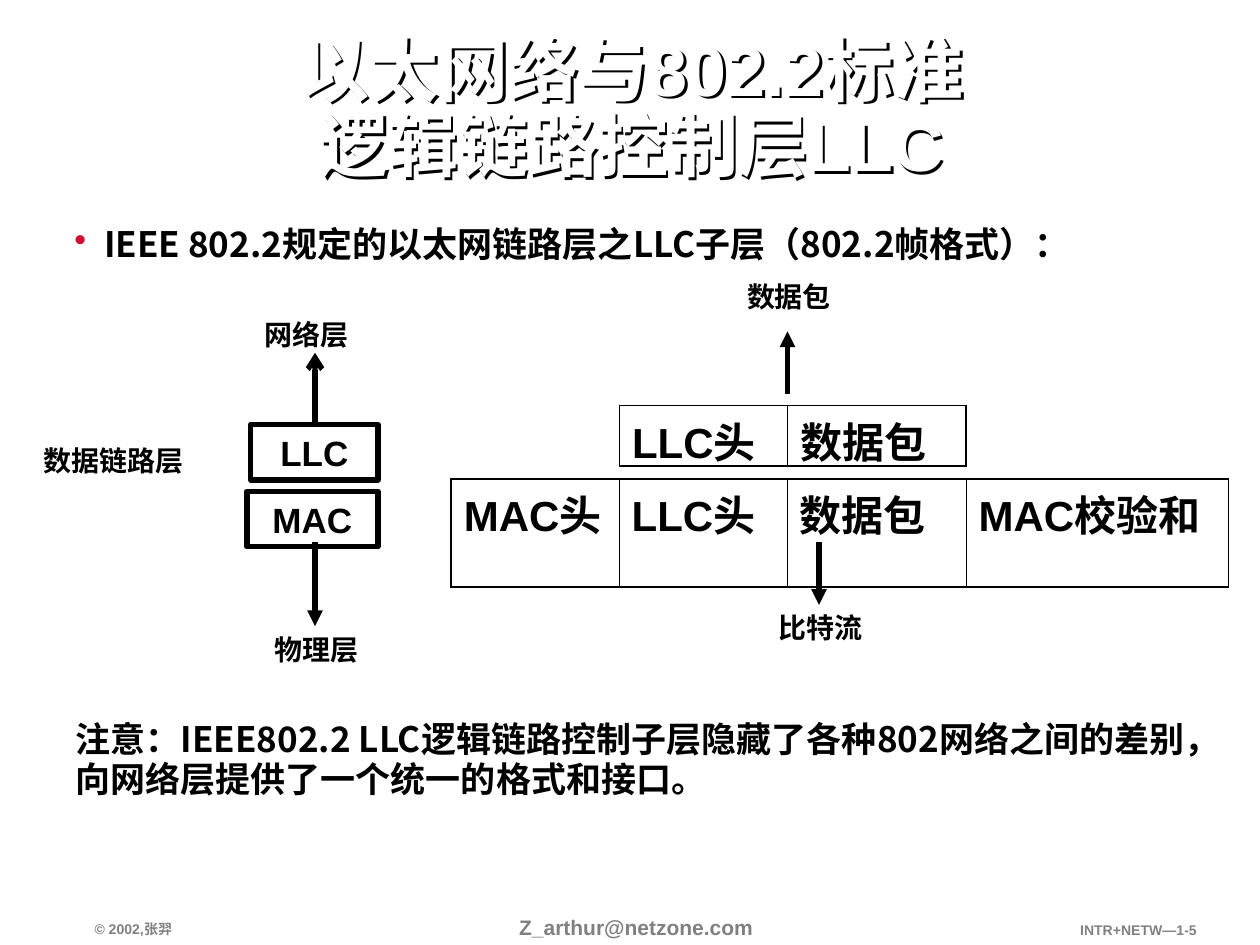
from dataclasses import dataclass
from lxml import etree
from pptx import Presentation
from pptx.dml.color import RGBColor
from pptx.enum.shapes import MSO_CONNECTOR, MSO_SHAPE
from pptx.enum.text import MSO_ANCHOR, PP_ALIGN
from pptx.oxml.ns import qn
from pptx.util import Pt

LEFT, MID, RIGHT = PP_ALIGN.LEFT, PP_ALIGN.CENTER, PP_ALIGN.RIGHT
TOP, CENTER, BASE = MSO_ANCHOR.TOP, MSO_ANCHOR.MIDDLE, MSO_ANCHOR.BOTTOM
LINE, RECT = MSO_CONNECTOR.STRAIGHT, MSO_SHAPE.RECTANGLE


@dataclass(frozen=True)
class Theme:
    ink: str = "000000"
    paper: str = "FFFFFF"
    gray: str = "808080"
    red: str = "CF0E30"
    sans: str = "Arial"
    cjk: str = "Noto Sans CJK SC"
    title: int = 40
    cell: int = 24
    body: int = 20
    label: int = 16
    mail: int = 12
    foot: int = 8
    stroke: float = 3
    outer: float = 1.08
    inner: float = 0.45


T = Theme()


@dataclass(frozen=True)
class Text:
    words: str
    x: float
    y: float
    w: float
    h: float
    size: int = T.label
    font: str = T.sans
    color: str = T.ink
    align: PP_ALIGN = LEFT
    anchor: MSO_ANCHOR = TOP
    space: float = 1
    pad: tuple[float, float] = (7.2, 3.6)
    wrap: bool = True


@dataclass(frozen=True)
class Arrow:
    x: float
    start: float
    end: float
    tag: str = "a:tailEnd"
    kind: str = "triangle"


@dataclass(frozen=True)
class Frame:
    x: float
    y: float
    row: float
    names: tuple[str, ...]
    cols: tuple[float, ...]


FOOT = dict(color=T.gray, size=T.foot, pad=(6.5, 3))
LEAD = Text("IEEE 802.2规定的以太网链路层之LLC子层（802.2帧格式）：",
            36, 125.3, 647.3, 36.7, T.body, T.cjk, space=0.95, pad=(6.5, 3.6))
TITLE = Text("以太网络与802.2标准\v逻辑链路控制层LLC", 60.5, 18.7, 600.5, 90,
             T.title, color=T.paper, align=MID, anchor=CENTER, space=0.9, pad=(6.5, 3))
TEXTS = [
    Text("© 2002,张羿", 47.5, 522.7, 61.2, 15.8, anchor=BASE, wrap=False, **FOOT),
    Text("Z_arthur@netzone.com", 290.9, 519.8, 149, 20.2,
         T.mail, color=T.gray, pad=(5.8, 3)),
    Text("INTR+NETW—1-5", 601.9, 523.4, 88.6, 15.8, align=RIGHT, **FOOT),
    Text("数据链路层", 18, 249.8, 102.2, 26.6),
    Text("网络层", 144, 177.8, 66.2, 26.6),
    Text("物理层", 149.8, 357.8, 66.2, 26.6),
    Text("比特流", 437.8, 345.6, 72, 26.6),
    Text("数据包", 419.8, 156.2, 90, 26.6),
    Text("注意：IEEE802.2 LLC逻辑链路控制子层隐藏了各种802网络之间的差别，"
         "向网络层提供了一个统一的格式和接口。",
         36, 408.2, 660.2, 53.3, T.body, T.cjk, space=0.95),
]
BOXES = [
    Text("LLC", 143.3, 242.6, 72.7, 31.7, T.body, align=MID, anchor=CENTER),
    Text("MAC", 141.1, 280.8, 74.9, 31.7, T.body, align=MID, anchor=CENTER),
]
FRAMES = [
    Frame(257.8, 273.6, 61.9, ("MAC头", "LLC头", "数据包", "MAC校验和"),
          (96, 96, 102.2, 150)),
    Frame(354, 231.8, 34.6, ("LLC头", "数据包"), (96, 102.2)),
]
ARROWS = [
    Arrow(180, 201.6, 243.4, "a:headEnd", "arrow"),
    Arrow(180, 309.6, 357.8),
    Arrow(468, 309.6, 345.6),
    Arrow(450, 225.4, 189.4),
]


def rgb(code: str) -> RGBColor:
    return RGBColor.from_string(code)


def add(parent, tag: str, **attrs):
    return etree.SubElement(parent, qn(tag), {k: str(v) for k, v in attrs.items()})


def style(para, item: Text) -> None:
    para.alignment, para.line_spacing = item.align, item.space
    font = para.font
    font.name, font.size, font.bold = item.font, Pt(item.size), True
    font.color.rgb = rgb(item.color)


def place(item: Text) -> tuple:
    return tuple(Pt(v) for v in (item.x, item.y, item.w, item.h))


def write(shape, item: Text) -> None:
    frame = shape.text_frame
    frame.word_wrap, frame.vertical_anchor = item.wrap, item.anchor
    frame.margin_left = frame.margin_right = Pt(item.pad[0])
    frame.margin_top = frame.margin_bottom = Pt(item.pad[1])
    frame.text = item.words
    style(frame.paragraphs[0], item)


def draw_title(shape, item: Text) -> None:
    """Place white words that are outlined by a hard dark shadow."""
    shape.left, shape.top, shape.width, shape.height = place(item)
    write(shape, item)
    shape.fill.background()
    glow = add(shape.element.spPr, "a:effectLst")
    cast = add(glow, "a:outerShdw", dist=Pt(2), dir=2700000, algn="ctr", rotWithShape=0)
    add(cast, "a:srgbClr", val=T.ink)


def draw_text(shapes, item: Text):
    shape = shapes.add_textbox(*place(item))
    write(shape, item)
    return shape


def draw_lead(shapes, item: Text) -> None:
    para = draw_text(shapes, item).text_frame.paragraphs[0]
    props = para._p.get_or_add_pPr()
    props.set("marL", str(Pt(17)))
    props.set("indent", str(-Pt(17)))
    tint = etree.Element(qn("a:buClr"))
    add(tint, "a:srgbClr", val=T.red)
    mark = etree.Element(qn("a:buChar"), char="•")
    spot = props.index(props.find(qn("a:defRPr")))
    props[spot:spot] = [tint, mark]


def draw_box(shapes, item: Text) -> None:
    shape = shapes.add_shape(RECT, *place(item))
    shape.shadow.inherit = False
    shape.fill.background()
    shape.line.color.rgb, shape.line.width = rgb(T.ink), Pt(T.stroke)
    write(shape, item)


def draw_arrow(shapes, item: Arrow) -> None:
    line = shapes.add_connector(LINE, Pt(item.x), Pt(item.start), Pt(item.x), Pt(item.end))
    line.line.color.rgb, line.line.width = rgb(T.ink), Pt(T.stroke)
    add(line.line._get_or_add_ln(), item.tag, type=item.kind)
    add(line.element.spPr, "a:effectLst")


def edge(cell, first: bool, last: bool) -> None:
    props = cell._tc.get_or_add_tcPr()
    sides = {"L": first, "R": last, "T": True, "B": True}
    for spot, (side, rim) in enumerate(sides.items()):
        line = etree.Element(qn(f"a:ln{side}"), w=str(Pt(T.outer if rim else T.inner)))
        add(add(line, "a:solidFill"), "a:srgbClr", val=T.ink)
        props.insert(spot, line)


def draw_frame(shapes, item: Frame) -> None:
    count = len(item.names)
    table = shapes.add_table(1, count, Pt(item.x), Pt(item.y),
                             Pt(sum(item.cols)), Pt(item.row)).table
    table.first_row = table.horz_banding = False
    table.rows[0].height = Pt(item.row)
    for i, (name, width) in enumerate(zip(item.names, item.cols)):
        table.columns[i].width = Pt(width)
        cell = table.cell(0, i)
        cell.margin_left = cell.margin_right = Pt(7.2)
        cell.margin_top = cell.margin_bottom = Pt(3.6)
        cell.text = name
        style(cell.text_frame.paragraphs[0], Text(name, 0, 0, 0, 0, T.cell, space=0.95))
        cell.fill.background()
        edge(cell, i == 0, i == count - 1)


def main() -> None:
    deck = Presentation()
    deck.slide_width, deck.slide_height = Pt(720), Pt(540)
    shapes = deck.slides.add_slide(deck.slide_layouts[5]).shapes
    draw_title(shapes.title, TITLE)
    draw_lead(shapes, LEAD)
    for draw, items in ((draw_text, TEXTS), (draw_box, BOXES),
                        (draw_frame, FRAMES), (draw_arrow, ARROWS)):
        for item in items:
            draw(shapes, item)
    deck.save("out.pptx")


if __name__ == "__main__":
    main()
